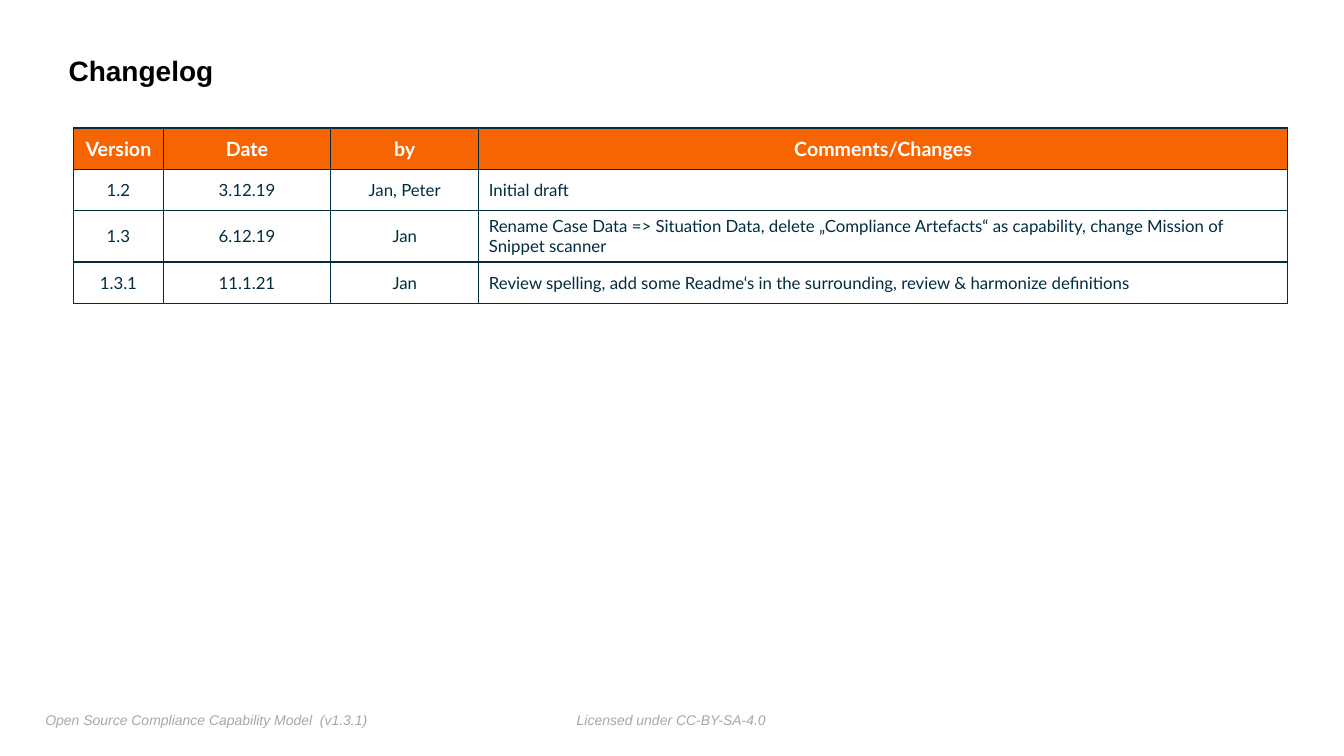
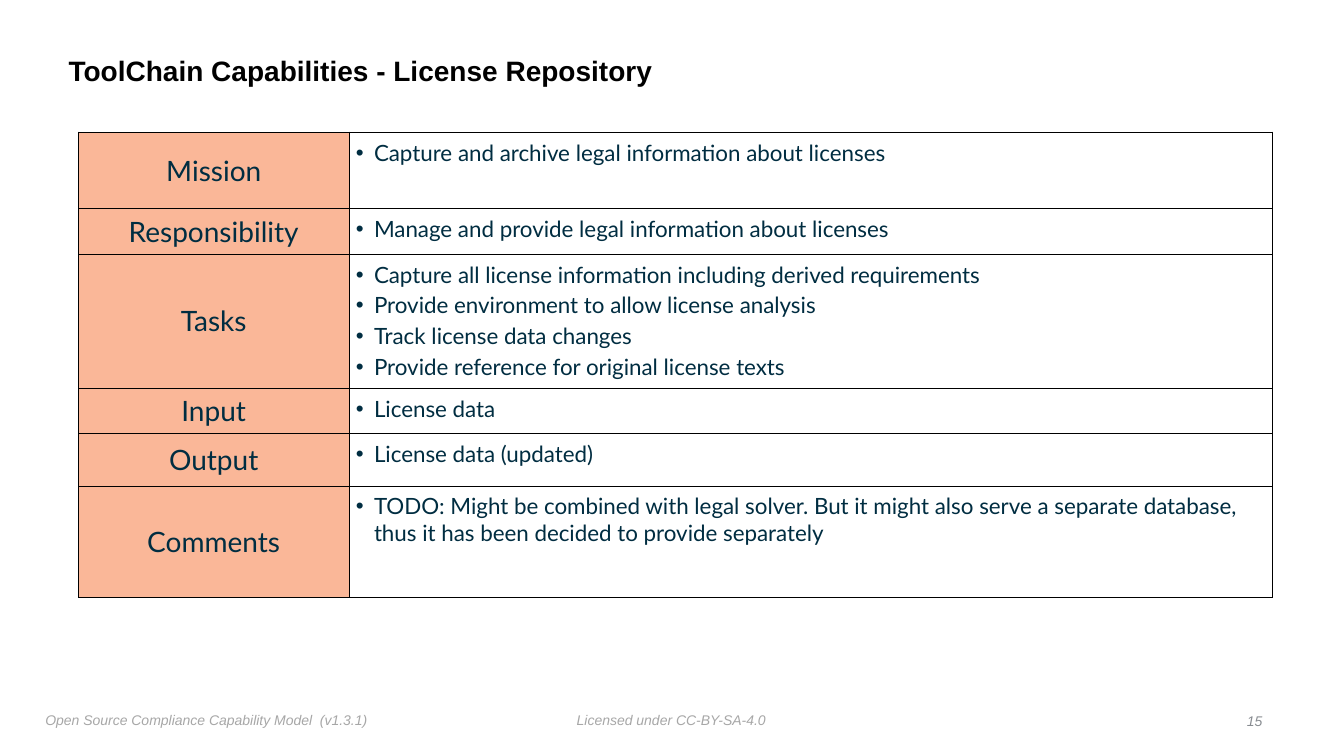
from lxml.etree import SubElement
from pptx import Presentation
from pptx.dml.color import RGBColor
from pptx.enum.text import MSO_ANCHOR, PP_ALIGN
from pptx.oxml.ns import qn
from pptx.util import Inches, Pt

BLACK = RGBColor(0x00, 0x00, 0x00)
WHITE = RGBColor(0xFF, 0xFF, 0xFF)
NAVY = RGBColor(0x00, 0x2D, 0x41)
ORANGE = RGBColor(0xF7, 0x65, 0x03)
PEACH = RGBColor(0xFA, 0xB7, 0x98)
FOOTER_GRAY = RGBColor(0xA7, 0xA7, 0xA7)
NUMBER_GRAY = RGBColor(0x88, 0x8C, 0x91)

# text, left, top, width, height
FOOTERS = [
    ("Licensed under CC-BY-SA-4.0", 5.67, 7.01, 1.99, 0.25),
    ("Open Source Compliance Capability Model  (v1.3.1)", 0.4, 7.01, 3.36, 0.27),
]

CHANGELOG_HEADER = ["Version", "Date", "by", "Comments/Changes"]
CHANGELOG = [
    ["1.2", "3.12.19", "Jan, Peter", "Initial draft"],
    ["1.3", "6.12.19", "Jan",
     "Rename Case Data => Situation Data, delete „Compliance Artefacts“ as capability, "
     "change Mission of Snippet scanner"],
    ["1.3.1", "11.1.21", "Jan",
     "Review spelling, add some Readme‘s in the surrounding, review & harmonize definitions"],
]
CHANGELOG_COLUMNS = [0.89, 1.66, 1.47, 8.02]
CHANGELOG_ROWS = [0.41, 0.41, 0.51, 0.41]

# aspect, row height, bullets
LICENSE_REPOSITORY = [
    ("Mission", 0.76, ["Capture and archive legal information about licenses"]),
    ("Responsibility", 0.45, ["Manage and provide legal information about licenses"]),
    ("Tasks", 1.33, [
        "Capture all license information including derived requirements",
        "Provide environment to allow license analysis",
        "Track license data changes",
        "Provide reference for original license texts",
    ]),
    ("Input", 0.45, ["License data"]),
    ("Output", 0.52, ["License data (updated)"]),
    ("Comments", 1.11, [
        "TODO: Might be combined with legal solver. But it might also serve a separate "
        "database, thus it has been decided to provide separately",
    ]),
]
CAPABILITY_COLUMNS = [2.68, 9.16]


def write(paragraph, text, size, color, font="Lato", bold=False, italic=False):
    run = paragraph.add_run()
    run.text = text
    run.font.name = font
    run.font.size = Pt(size)
    run.font.color.rgb = color
    run.font.bold = bold
    run.font.italic = italic


def set_margins(box, inset):
    box.margin_left = box.margin_right = Inches(inset)
    box.margin_top = box.margin_bottom = Inches(inset)


def add_text(slide, text, left, top, width, height, size, color, wrap=False,
             anchor=MSO_ANCHOR.TOP, **style):
    """Add a one-line Arial text box and return its paragraph."""
    frame = slide.shapes.add_textbox(
        Inches(left), Inches(top), Inches(width), Inches(height)).text_frame
    frame.word_wrap = wrap
    frame.vertical_anchor = anchor
    set_margins(frame, 0.05)
    paragraph = frame.paragraphs[0]
    write(paragraph, text, size, color, font="Arial", **style)
    return paragraph


def add_slide(prs, title):
    """Add a blank slide with the shared footers and title."""
    slide = prs.slides.add_slide(prs.slide_layouts[6])
    for footer, *place in FOOTERS:
        add_text(slide, footer, *place, size=10, color=FOOTER_GRAY, italic=True)
    heading = add_text(slide, title, 0.63, 0.39, 10.75, 0.65, size=20, color=BLACK,
                       wrap=True, anchor=MSO_ANCHOR.MIDDLE, bold=True)
    heading.line_spacing = 0.9
    return slide


def set_borders(cell, color, width):
    properties = cell._tc.get_or_add_tcPr()
    for side in ("a:lnL", "a:lnR", "a:lnT", "a:lnB"):
        line = SubElement(properties, qn(side), w=str(Pt(width)))
        fill = SubElement(line, qn("a:solidFill"))
        SubElement(fill, qn("a:srgbClr"), val=str(color))


def add_grid(slide, left, top, columns, rows, border_color, border_width):
    """Add an unstyled, bordered table with white cells."""
    table = slide.shapes.add_table(
        len(rows), len(columns), Inches(left), Inches(top),
        Inches(sum(columns)), Inches(sum(rows))).table
    table.first_row = table.horz_banding = False
    for column, width in zip(table.columns, columns):
        column.width = Inches(width)
    for row, height in zip(table.rows, rows):
        row.height = Inches(height)
    for cell in table.iter_cells():
        set_borders(cell, border_color, border_width)
        paint(cell, WHITE)
    return table


def paint(cell, color):
    cell.fill.solid()
    cell.fill.fore_color.rgb = color


def fill_cell(cell, text, size, color, align=PP_ALIGN.CENTER, bold=False):
    cell.vertical_anchor = MSO_ANCHOR.MIDDLE
    paragraph = cell.text_frame.paragraphs[0]
    paragraph.alignment = align
    write(paragraph, text, size, color, bold=bold)


def fill_bullets(cell, bullets):
    set_margins(cell, 0.07)
    frame = cell.text_frame
    for index, bullet in enumerate(bullets):
        paragraph = frame.add_paragraph() if index else frame.paragraphs[0]
        if index:
            paragraph.space_before = Pt(3)
        properties = paragraph._p.get_or_add_pPr()
        properties.set("marL", str(Inches(0.18)))
        properties.set("indent", str(Inches(-0.18)))
        SubElement(properties, qn("a:buFont"), typeface="Arial")
        SubElement(properties, qn("a:buChar"), char="•")
        write(paragraph, bullet, 16, NAVY)


def build_changelog(prs):
    slide = add_slide(prs, "Changelog")
    table = add_grid(slide, 0.73, 1.27, CHANGELOG_COLUMNS, CHANGELOG_ROWS, NAVY, 1)
    for column, label in enumerate(CHANGELOG_HEADER):
        cell = table.cell(0, column)
        paint(cell, ORANGE)
        fill_cell(cell, label, 14, WHITE, bold=True)
    last_column = len(CHANGELOG_HEADER) - 1
    for row, entry in enumerate(CHANGELOG, start=1):
        for column, value in enumerate(entry):
            align = PP_ALIGN.LEFT if column == last_column else PP_ALIGN.CENTER
            fill_cell(table.cell(row, column), value, 12, NAVY, align)


def build_license_repository(prs):
    slide = add_slide(prs, "ToolChain Capabilities - License Repository")
    heights = [height for _, height, _ in LICENSE_REPOSITORY]
    table = add_grid(slide, 0.78, 1.31, CAPABILITY_COLUMNS, heights, BLACK, 0.5)
    for row, (aspect, _, bullets) in enumerate(LICENSE_REPOSITORY):
        aspect_cell = table.cell(row, 0)
        paint(aspect_cell, PEACH)
        set_margins(aspect_cell, 0)
        fill_cell(aspect_cell, aspect, 20, NAVY)
        fill_bullets(table.cell(row, 1), bullets)
    number = add_text(slide, "15", 12.3, 7.03, 0.27, 0.25, size=10, color=NUMBER_GRAY,
                      anchor=MSO_ANCHOR.MIDDLE, italic=True)
    number.alignment = PP_ALIGN.RIGHT


def main():
    prs = Presentation()
    prs.slide_width = Inches(13.33)
    prs.slide_height = Inches(7.5)
    build_changelog(prs)
    build_license_repository(prs)
    prs.save("out.pptx")


if __name__ == "__main__":
    main()
